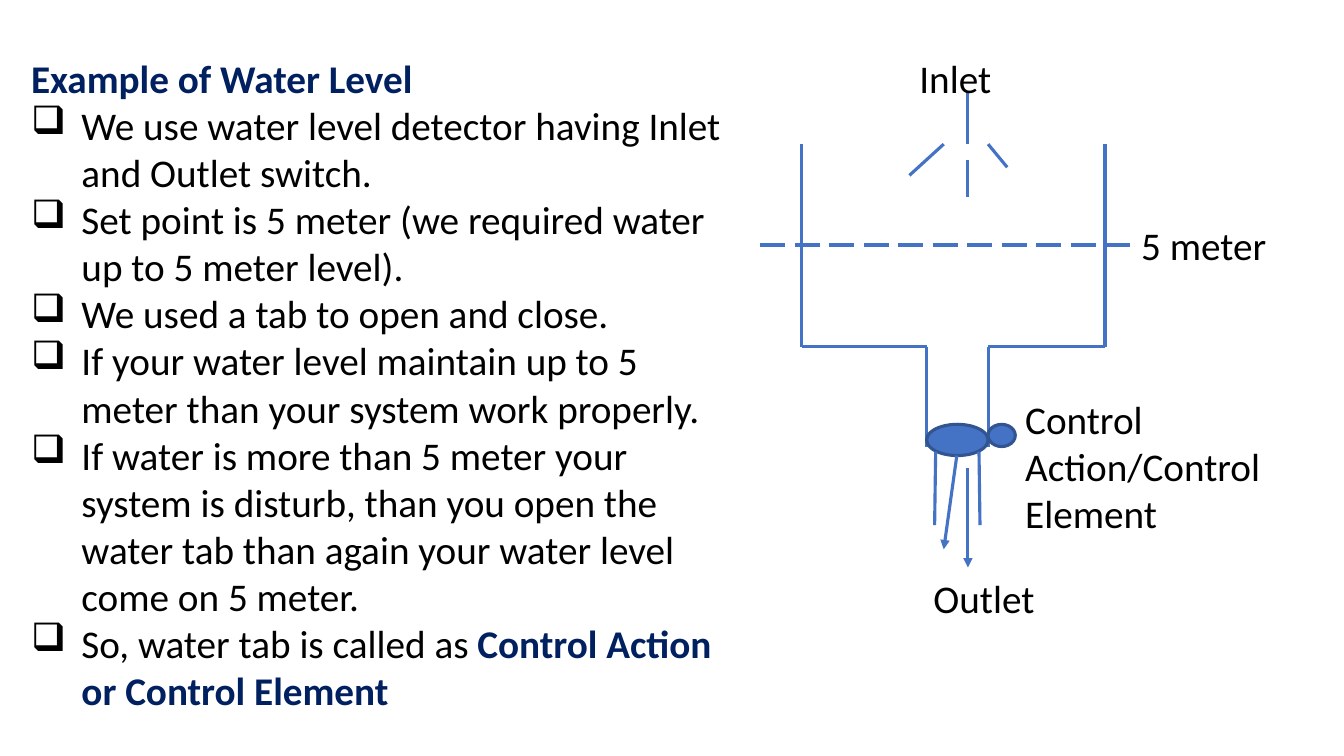
from typing import NamedTuple

from lxml import etree
from pptx import Presentation
from pptx.dml.color import RGBColor
from pptx.enum.dml import MSO_LINE
from pptx.enum.shapes import MSO_CONNECTOR, MSO_SHAPE
from pptx.enum.text import MSO_AUTO_SIZE
from pptx.oxml.ns import qn
from pptx.util import Pt

PX = 9144  # 100 px to the inch
STRAIGHT = MSO_CONNECTOR.STRAIGHT
OVAL = MSO_SHAPE.OVAL
LONG_DASH = MSO_LINE.LONG_DASH
GROW = MSO_AUTO_SIZE.SHAPE_TO_FIT_TEXT

BLUE = RGBColor(0x44, 0x72, 0xC4)
DARK_BLUE = RGBColor(0x32, 0x54, 0x91)
NAVY = RGBColor(0x00, 0x20, 0x60)
BLACK = RGBColor(0x00, 0x00, 0x00)

LINE_WIDTH = Pt(2.25)
PLAIN = {"name": "Calibri", "size": Pt(28), "bold": False}
STRONG = PLAIN | {"bold": True}
INDENT = 50 * PX
BULLET = "❑"


class Line(NamedTuple):
    x1: int
    y1: int
    x2: int
    y2: int
    dashed: bool = False
    arrow: bool = False


class Box(NamedTuple):
    left: int
    top: int
    width: int
    height: int


class Run(NamedTuple):
    text: str
    strong: bool = False


class Paragraph(NamedTuple):
    runs: list[Run]
    bulleted: bool = False


# Tank and pipe edges
LEFT, RIGHT, RIM, FLOOR = 795, 1096, 143, 344
PIPE_LEFT, PIPE_RIGHT, PIPE_END = 919, 980, 443
FLOW = 960

TANK = [
    Line(LEFT, RIM, LEFT, FLOOR),
    Line(RIGHT, FLOOR, RIGHT, RIM),
    Line(LEFT, FLOOR, PIPE_LEFT, FLOOR),
    Line(RIGHT, FLOOR, PIPE_RIGHT, FLOOR),
    Line(PIPE_LEFT, FLOOR, PIPE_LEFT, PIPE_END),
    Line(PIPE_RIGHT, FLOOR, PIPE_RIGHT, PIPE_END),
]
SET_POINT = [Line(754, 243, 1122, 243, dashed=True)]
INLET = [
    Line(FLOW, 91, FLOW, RIM),
    Line(936, RIM, 902, 174),
    Line(PIPE_RIGHT, RIM, 999, 166),
    Line(FLOW, 159, FLOW, 195),
]
OUTLET = [
    Line(928, 448, 927, 521),
    Line(971, 448, 972, 521),
    Line(FLOW, 464, FLOW, 563, arrow=True),
    Line(949, 452, 936, 545, arrow=True),
]
TAP = [Box(PIPE_LEFT, 421, PIPE_RIGHT - PIPE_LEFT, 31), Box(PIPE_RIGHT, 421, 27, 22)]

LABELS = {
    "5 meter": Box(1122, 215, 193, 57),
    "Inlet": Box(902, 49, 209, 57),
    "Outlet": Box(916, 565, 209, 57),
    "Control Action/Control Element": Box(1007, 387, 264, 151),
}
EXPLANATION_BOX = Box(21, 49, 720, 670)
POINTS = [
    [Run("We use water level detector having Inlet and Outlet switch.")],
    [Run("Set point is 5 meter (we required water up to 5 meter level).")],
    [Run("We used a tab to open and close.")],
    [Run("If your water level maintain up to 5 meter than your system work properly.")],
    [Run("If water is more than 5 meter your system is disturb, than you open the "
         "water tab than again your water level come on 5 meter.")],
    [Run("So, water tab is called as "), Run("Control Action or Control Element", True)],
]
EXPLANATION = [Paragraph([Run("Example of Water Level", True)])] + [
    Paragraph(runs, bulleted=True) for runs in POINTS
]


def draw_line(slide, line: Line) -> None:
    ends = [value * PX for value in (line.x1, line.y1, line.x2, line.y2)]
    connector = slide.shapes.add_connector(STRAIGHT, *ends)
    connector.line.color.rgb = BLUE
    connector.line.width = LINE_WIDTH
    if line.dashed:
        connector.line.dash_style = LONG_DASH
    properties = connector._element.spPr
    if line.arrow:
        outline = properties.find(qn("a:ln"))
        etree.SubElement(outline, qn("a:tailEnd"), type="triangle")
    etree.SubElement(properties, qn("a:effectLst"))


def draw_ellipse(slide, box: Box) -> None:
    shape = slide.shapes.add_shape(OVAL, *(value * PX for value in box))
    shape.shadow.inherit = False
    shape.fill.solid()
    shape.fill.fore_color.rgb = BLUE
    shape.line.color.rgb = DARK_BLUE
    shape.line.width = LINE_WIDTH


def add_bullet(paragraph) -> None:
    properties = paragraph._p.get_or_add_pPr()
    properties.set("marL", str(INDENT))
    properties.set("indent", str(-INDENT))
    etree.SubElement(properties, qn("a:buChar"), char=BULLET)


def draw_text(slide, box: Box, content: list[Paragraph]) -> None:
    frame = slide.shapes.add_textbox(*(value * PX for value in box)).text_frame
    frame.word_wrap = True
    frame.auto_size = GROW
    for index, item in enumerate(content):
        paragraph = frame.add_paragraph() if index else frame.paragraphs[0]
        if item.bulleted:
            add_bullet(paragraph)
        for part in item.runs:
            run = paragraph.add_run()
            run.text = part.text
            run.font.color.rgb = NAVY if part.strong else BLACK
            for name, value in (STRONG if part.strong else PLAIN).items():
                setattr(run.font, name, value)


def main() -> None:
    presentation = Presentation()
    presentation.slide_width = 1333 * PX
    presentation.slide_height = 750 * PX
    slide = presentation.slides.add_slide(presentation.slide_layouts[6])
    for line in TANK + SET_POINT + INLET:
        draw_line(slide, line)
    for box in TAP:
        draw_ellipse(slide, box)
    for line in OUTLET:
        draw_line(slide, line)
    for text, box in LABELS.items():
        draw_text(slide, box, [Paragraph([Run(text)])])
    draw_text(slide, EXPLANATION_BOX, EXPLANATION)
    presentation.save("out.pptx")


if __name__ == "__main__":
    main()
